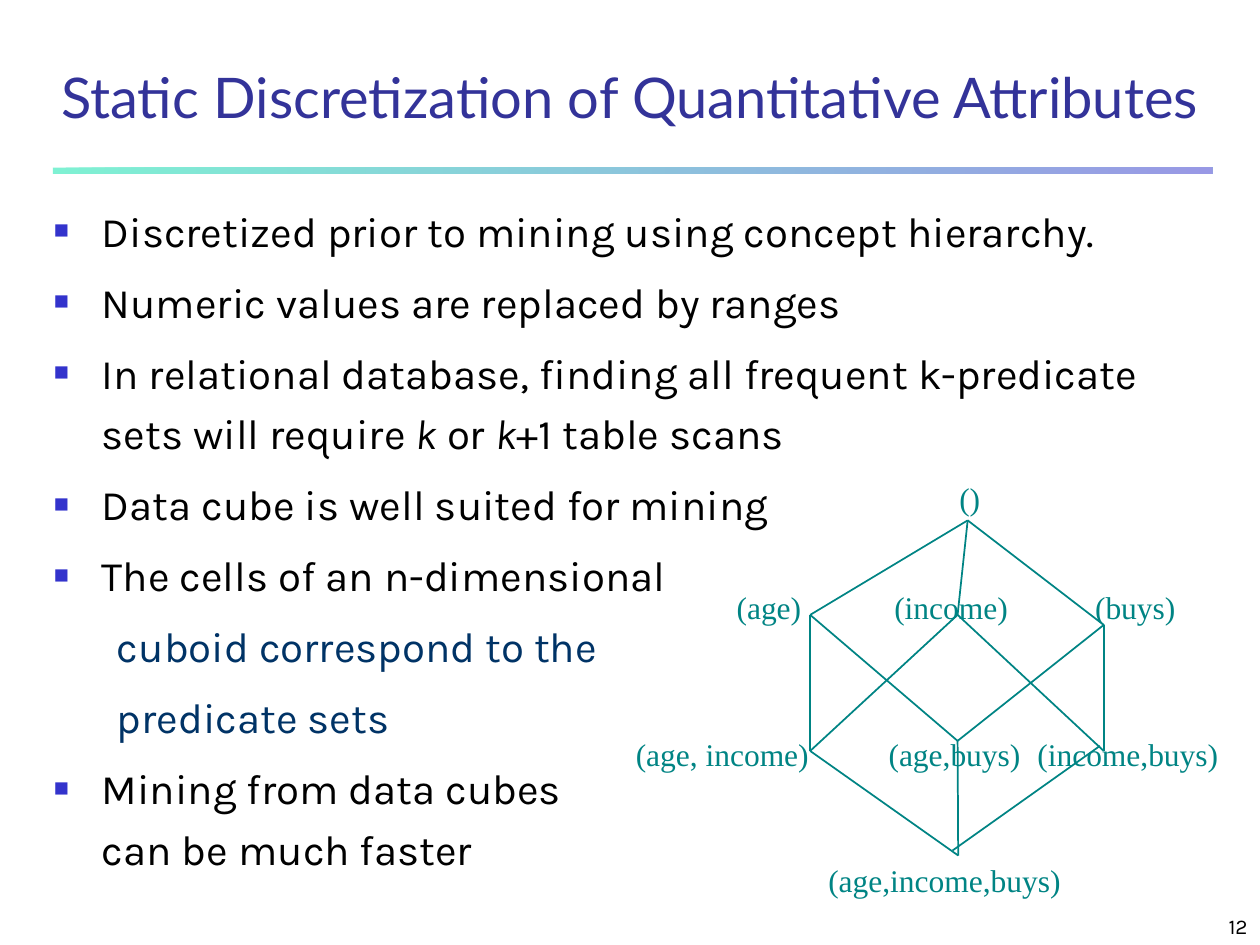
from lxml import etree
from pptx import Presentation
from pptx.dml.color import RGBColor
from pptx.enum.shapes import MSO_CONNECTOR, MSO_SHAPE
from pptx.enum.text import MSO_ANCHOR, PP_ALIGN
from pptx.oxml.ns import qn
from pptx.util import Inches, Pt

STRAIGHT = MSO_CONNECTOR.STRAIGHT
RECTANGLE = MSO_SHAPE.RECTANGLE
TOP, BOTTOM = MSO_ANCHOR.TOP, MSO_ANCHOR.BOTTOM
LEFT, CENTER, RIGHT = PP_ALIGN.LEFT, PP_ALIGN.CENTER, PP_ALIGN.RIGHT

COLORS = {
    "title": "333399", "body": "000000", "sub": "003366", "bullet": "3333CC",
    "lattice": "008484", "rule_start": "00E4A8", "rule_end": "3333CC",
}
BODY_FONT, TITLE_FONT, LATTICE_FONT = "Karla", "Lato", "Times New Roman"
BULLET_FONT = "Times New Roman"

# The page is a grid of 100 columns by 75 rows
COLUMNS, ROWS = 100, 75
CELL = Inches(10) // COLUMNS

# Each bullet: level and spans; a span is (text, italic)
BULLETS = [
    (0, [("Discretized prior to mining using concept hierarchy.", False)]),
    (0, [("Numeric values are replaced by ranges", False)]),
    (0, [("In relational database, finding all frequent k-predicate sets will require ", False),
         ("k", True), (" or ", False), ("k", True), ("+1 table scans", False)]),
    (0, [("Data cube is well suited for mining", False)]),
    (0, [("The cells of an n-dimensional", False)]),
    (1, [("cuboid correspond to the", False)]),
    (1, [("predicate sets", False)]),
    (0, [("Mining from data cubes\vcan be much faster", False)]),
]
INDENTS = [(0.38, -0.38), (0.81, -0.31)]

# Lattice corners, in cells from the corner of the lattice box
NODES = {
    "empty": (26.8, 4.3),
    "age": (14.3, 11.8), "income": (26, 11.8), "buys": (37.6, 12.6),
    "age_income": (14.3, 22.6), "age_buys": (26, 21.8), "income_buys": (37.6, 22.6),
    "all": (26.05, 30.9),
}
EDGES = [
    ("empty", "age"), ("empty", "income"), ("empty", "buys"),
    ("age", "age_income"), ("age", "age_buys"),
    ("income", "age_income"), ("income", "income_buys"),
    ("buys", "age_buys"), ("buys", "income_buys"),
    ("age_income", "all"), ("age_buys", "all"),
]
LAST_EDGE = ((25.6, 30.5), (37.3, 22.2))  # stops just short of its corners

# Lattice labels: text, right edge, top, width
LABELS = [
    ("()", 27.8, 1, 2.4),
    ("(age)", 13.6, 9.7, 5.6), ("(income)", 30, 9.7, 10), ("(buys)", 43.3, 9.7, 6.8),
    ("(age, income)", 14.2, 21.3, 14.2), ("(age,buys)", 31, 21.3, 10.9),
    ("(income,buys)", 46.7, 21.3, 14.8),
    ("(age,income,buys)", 34.2, 31.3, 18.9),
]
LABEL_HEIGHT = 3


def cells(*lengths):
    return [round(length * CELL) for length in lengths]


def style(span, font, size, color, italic=False):
    span.font.name = font
    span.font.size = Pt(size)
    span.font.italic = italic
    span.font.color.rgb = RGBColor.from_string(COLORS[color])


def add_frame(page, box, anchor=TOP, wrap=True, insets=(0.1, 0.05)):
    frame = page.shapes.add_textbox(*cells(*box)).text_frame
    frame.word_wrap = wrap
    frame.vertical_anchor = anchor
    frame.margin_left = frame.margin_right = Inches(insets[0])
    frame.margin_top = frame.margin_bottom = Inches(insets[1])
    return frame


def add_line_of_text(frame, text, align, font, size, color):
    para = frame.paragraphs[0]
    para.text = text
    para.alignment = align
    style(para.runs[0], font, size, color)


def add_title(page, box):
    frame = add_frame(page, box, BOTTOM)
    add_line_of_text(frame, "Static Discretization of Quantitative Attributes",
                     CENTER, TITLE_FONT, 32, "title")


def add_rule(page, box):
    rule = page.shapes.add_shape(RECTANGLE, *cells(*box))
    rule.shadow.inherit = False
    rule.line.fill.background()
    rule.fill.gradient()
    rule.fill.gradient_angle = 0
    for stop, name in zip(rule.fill.gradient_stops, ("rule_start", "rule_end")):
        stop.color.rgb = RGBColor.from_string(COLORS[name])
    # Half transparent stops
    for color in rule._element.spPr.iter(qn("a:srgbClr")):
        etree.SubElement(color, qn("a:alpha"), val="50000")


def set_bullet(para, level):
    margin, indent = INDENTS[level]
    props = para._p.get_or_add_pPr()
    props.set("marL", str(Inches(margin)))
    props.set("indent", str(Inches(indent)))
    if level:
        etree.SubElement(props, qn("a:buNone"))
        return
    color = etree.SubElement(props, qn("a:buClr"))
    etree.SubElement(color, qn("a:srgbClr"), val=COLORS["bullet"])
    etree.SubElement(props, qn("a:buSzPct"), val="60000")
    etree.SubElement(props, qn("a:buFont"), typeface=BULLET_FONT)
    etree.SubElement(props, qn("a:buChar"), char="■")


def add_bullets(page, box):
    frame = add_frame(page, box)
    for index, (level, spans) in enumerate(BULLETS):
        para = frame.add_paragraph() if index else frame.paragraphs[0]
        para.text = spans[0][0]
        for text, _ in spans[1:]:
            para.add_run().text = text
        para.level = level
        para.alignment = LEFT
        para.line_spacing = 1.2
        para.space_before = Pt(6)
        set_bullet(para, level)
        italics = [italic for _, italic in spans]
        for position, span in enumerate(para.runs):
            italic = position < len(italics) and italics[position]
            style(span, BODY_FONT, 24, "sub" if level else "body", italic)


def add_lattice(page, box):
    left, top = box[:2]
    # Edges
    ends = [(NODES[start], NODES[end]) for start, end in EDGES] + [LAST_EDGE]
    for (x1, y1), (x2, y2) in ends:
        edge = page.shapes.add_connector(
            STRAIGHT, *cells(left + x1, top + y1, left + x2, top + y2))
        edge.line.color.rgb = RGBColor.from_string(COLORS["lattice"])
        edge.line.width = Pt(1)
        etree.SubElement(edge._element.spPr, qn("a:effectLst"))
    # Labels, set flush with their right edges
    for text, right, y, width in LABELS:
        frame = add_frame(page, (left + right - width, top + y, width, LABEL_HEIGHT),
                          wrap=False, insets=(0, 0))
        add_line_of_text(frame, text, RIGHT, LATTICE_FONT, 18, "lattice")


def add_page_number(page, box):
    frame = add_frame(page, box, BOTTOM)
    add_line_of_text(frame, "12", RIGHT, BODY_FONT, 12, "body")


def main():
    deck = Presentation()
    deck.slide_width, deck.slide_height = cells(COLUMNS, ROWS)
    page = deck.slides.add_slide(deck.slide_layouts[6])
    add_rule(page, (4.2, 13.3, 92, 0.5))
    add_page_number(page, (79.2, 70.8, 20.8, 4.2))
    add_title(page, (0, 3.3, 100, 7.5))
    add_bullets(page, (3.3, 15, 92.5, 56.7))
    add_lattice(page, (50, 37, 47, 35))
    deck.save("out.pptx")


if __name__ == "__main__":
    main()
